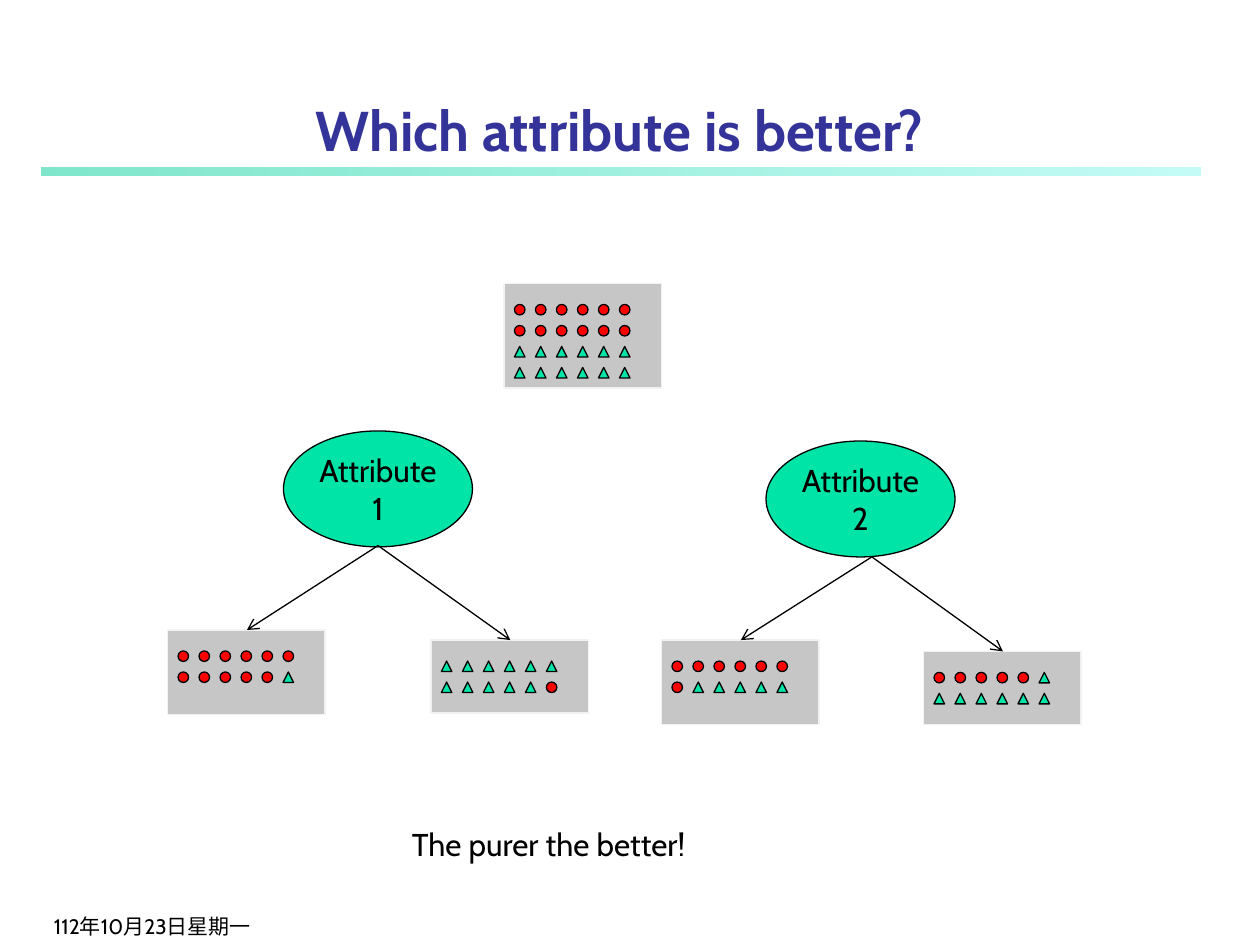
import pptx
import pptx.dml.color
import pptx.enum.shapes
import pptx.enum.text
import pptx.oxml
import pptx.oxml.ns
import pptx.util
from pptx.util import Inches

FONT = "Cabin"
COLORS = {
    "title": "333399", "text": "000000", "outline": "000000",
    "circle": "FF0000", "triangle": "00E4A8", "attribute": "00E4A8",
    "box": "C6C6C6", "box_edge": "F2F2F2",
    "rule_start": "00CE98", "rule_end": "8FF9EF",
}
SHAPES = pptx.enum.shapes.MSO_SHAPE
ALIGN = pptx.enum.text.PP_ALIGN
ANCHOR = pptx.enum.text.MSO_ANCHOR
MARKS = {"o": ("circle", SHAPES.OVAL),
         "^": ("triangle", SHAPES.ISOSCELES_TRIANGLE)}
MARK_SIZE = 1 / 12
MARK_PITCH = 1 / 6


def rgb(name):
    return pptx.dml.color.RGBColor.from_string(COLORS[name])


def set_text(frame, text, size, color="text", align=ALIGN.LEFT, bold=False):
    frame.text = text
    for paragraph in frame.paragraphs:
        paragraph.alignment = align
        for run in paragraph.runs:
            run.font.name = FONT
            run.font.size = pptx.util.Pt(size)
            run.font.bold = bold
            run.font.color.rgb = rgb(color)


def add_figure(slide, kind, left, top, width, height, fill, edge="outline"):
    figure = slide.shapes.add_shape(
        kind, Inches(left), Inches(top), Inches(width), Inches(height))
    figure.shadow.inherit = False
    figure.fill.solid()
    figure.fill.fore_color.rgb = rgb(fill)
    figure.line.color.rgb = rgb(edge)
    figure.line.width = pptx.util.Pt(0.75)
    return figure


def add_title(slide, text):
    title = slide.shapes.title
    title.left, title.top = Inches(0.42), Inches(0.17)
    title.width, title.height = Inches(9), Inches(1.17)
    title.text_frame.vertical_anchor = ANCHOR.BOTTOM
    set_text(title.text_frame, text, 32, "title", ALIGN.CENTER, bold=True)


def add_title_rule(slide):
    rule = add_figure(slide, SHAPES.RECTANGLE, 0.33, 1.33, 9.2, 0.06, "rule_start")
    rule.line.fill.background()
    rule.fill.gradient()
    rule.fill.gradient_angle = 0
    for stop, color, opacity in zip(
            rule.fill.gradient_stops, ("rule_start", "rule_end"), (50, 52)):
        stop.color.rgb = rgb(color)
    # Partial opacity of the two gradient stops
    stop_colors = rule._element.spPr.iter(pptx.oxml.ns.qn("a:srgbClr"))
    for stop_color, opacity in zip(stop_colors, (50, 52)):
        alpha = pptx.oxml.parse_xml(
            f'<a:alpha {pptx.oxml.ns.nsdecls("a")} val="{opacity * 1000}"/>')
        stop_color.append(alpha)


def add_label(slide, text, left, top, width, height, size, wrap, anchor):
    label = slide.shapes.add_textbox(
        Inches(left), Inches(top), Inches(width), Inches(height))
    label.text_frame.word_wrap = wrap
    label.text_frame.vertical_anchor = anchor
    set_text(label.text_frame, text, size)


def add_sample(slide, left, top, height, rows):
    """A grey box of marks: o is a circle, ^ a triangle."""
    add_figure(slide, SHAPES.RECTANGLE, left, top, 1.25, height, "box", "box_edge")
    for row, marks in enumerate(rows):
        for column, mark in enumerate(marks):
            color, kind = MARKS[mark]
            add_figure(slide, kind,
                       left + MARK_SIZE + column * MARK_PITCH,
                       top + (row + 1) * MARK_PITCH,
                       MARK_SIZE, MARK_SIZE, color)


def add_attribute(slide, text, left, top):
    attribute = add_figure(slide, SHAPES.OVAL, left, top, 1.5, 0.92, "attribute")
    attribute.text_frame.word_wrap = False
    attribute.text_frame.vertical_anchor = ANCHOR.MIDDLE
    set_text(attribute.text_frame, text, 18, align=ALIGN.CENTER)


def add_arrow(slide, start, end):
    arrow = slide.shapes.add_connector(
        pptx.enum.shapes.MSO_CONNECTOR.STRAIGHT,
        *(Inches(value) for value in start + end))
    arrow.line.color.rgb = rgb("outline")
    arrow.line.width = pptx.util.Pt(0.75)
    namespace = pptx.oxml.ns.nsdecls("a")
    arrow.line._get_or_add_ln().append(
        pptx.oxml.parse_xml(f'<a:tailEnd {namespace} type="arrow"/>'))
    arrow._element.spPr.append(pptx.oxml.parse_xml(f"<a:effectLst {namespace}/>"))


def main():
    deck = pptx.Presentation()
    deck.slide_width, deck.slide_height = Inches(10), Inches(7.5)
    slide = deck.slides.add_slide(deck.slide_layouts[5])

    # Heading and date
    add_title_rule(slide)
    add_label(slide, "112年10月23日星期一", 0.33, 7.08, 2.08, 0.42, 12, True,
              ANCHOR.BOTTOM)
    add_title(slide, "Which attribute is better?")

    # All samples before the split
    add_sample(slide, 4, 2.25, 0.83, ["oooooo", "oooooo", "^^^^^^", "^^^^^^"])

    # Each attribute, the root of its arrows, and its two branches
    splits = [
        ("Attribute\n1", (2.25, 3.42), (3, 4.33),
         [(1.33, 5, 0.67, ["oooooo", "ooooo^"]),
          (3.42, 5.08, 0.58, ["^^^^^^", "^^^^^o"])]),
        ("Attribute\n2", (6.08, 3.5), (6.92, 4.42),
         [(5.25, 5.08, 0.67, ["oooooo", "o^^^^^"]),
          (7.33, 5.17, 0.58, ["ooooo^", "^^^^^^"])]),
    ]
    for name, corner, root, branches in splits:
        add_attribute(slide, name, *corner)
        for left, top, height, rows in branches:
            add_sample(slide, left, top, height, rows)
            add_arrow(slide, root, (left + 0.63, top))

    # Conclusion
    add_label(slide, "The purer the better!", 3.17, 6.5, 2.56, 0.4, 18, False,
              ANCHOR.TOP)

    deck.save("out.pptx")


if __name__ == "__main__":
    main()
